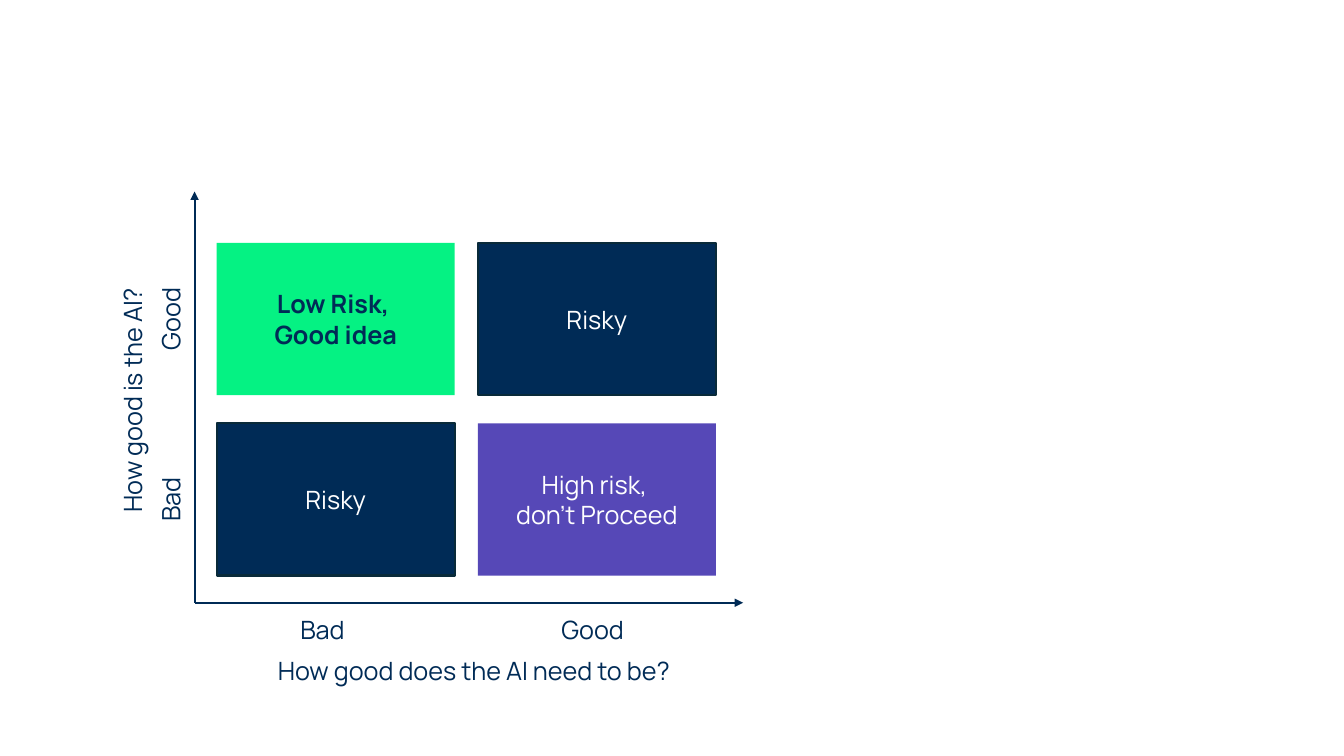
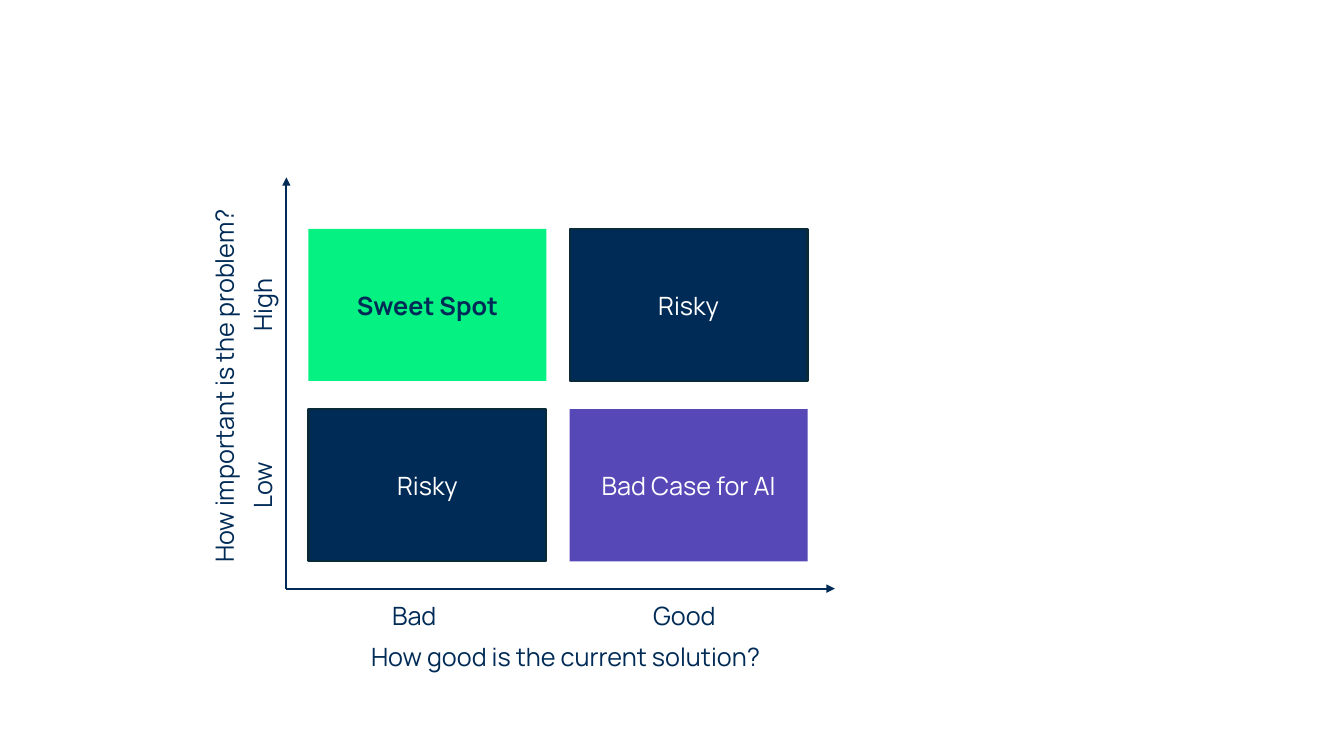
from itertools import product

from lxml.etree import SubElement
from pptx import Presentation
from pptx.dml.color import RGBColor
from pptx.enum.shapes import MSO_CONNECTOR as Connector, MSO_SHAPE as Shape
from pptx.enum.text import MSO_ANCHOR as Anchor, MSO_AUTO_SIZE as AutoSize, PP_ALIGN as Align
from pptx.oxml.ns import qn
from pptx.util import Inches, Pt

FONT, SIZE = "Manrope", 18
NAVY, EDGE, WHITE = "002B56", "092A39", "FFFFFF"
GREEN, PURPLE = "05F283", "5648B7"

MATRICES = [
    {
        "origin": (1.93, 5.98),
        "x_title": "How good does the AI need to be?",
        "y_title": "How good is the AI?",
        "columns": ("Bad", "Good"),
        "rows": ("Good", "Bad"),
        "cells": (("Low Risk, \nGood idea", "Risky"),
                  ("Risky", "High risk, \ndon’t Proceed")),
    },
    {
        "origin": (2.84, 5.84),
        "x_title": "How good is the current solution?",
        "y_title": "How important is the problem?",
        "columns": ("Bad", "Good"),
        "rows": ("High", "Low"),
        "cells": (("Sweet Spot", "Risky"),
                  ("Risky", "Bad Case for AI")),
    },
]

CELL_STYLES = (
    ((GREEN, None, NAVY, True), (NAVY, EDGE, WHITE, False)),
    ((NAVY, EDGE, WHITE, False), (PURPLE, None, WHITE, False)),
)

AXIS_WIDTH, AXIS_HEIGHT = 5.44, 4.08
CELL_WIDTH, CELL_HEIGHT = 2.36, 1.51
GRID_LEFT, GRID_TOP = 0.22, -3.57
COLUMN_STEP, ROW_STEP = 2.59, 1.79
LABEL_WIDTH, LABEL_HEIGHT = 0.91, 0.4
LABEL_INDENT = 0.73


def color(value):
    return RGBColor.from_string(value)


def write(shape, text, text_color=NAVY, bold=None, align=Align.CENTER):
    frame = shape.text_frame
    frame.word_wrap = True
    frame.text = text
    for paragraph in frame.paragraphs:
        paragraph.alignment = align
        for run in paragraph.runs:
            run.font.name = FONT
            run.font.size = Pt(SIZE)
            run.font.bold = bold
            run.font.color.rgb = color(text_color)


def add_axis(slide, start, end):
    axis = slide.shapes.add_connector(Connector.STRAIGHT, *map(Inches, start + end))
    axis.line.color.rgb = color(NAVY)
    axis.line.width = Pt(1.5)
    SubElement(axis.line._get_or_add_ln(), qn("a:tailEnd"), type="triangle")
    SubElement(axis._element.spPr, qn("a:effectLst"))


def add_cell(slide, left, top, text, style):
    fill, edge, text_color, bold = style
    box = (left, top, CELL_WIDTH, CELL_HEIGHT)
    cell = slide.shapes.add_shape(Shape.RECTANGLE, *map(Inches, box))
    cell.shadow.inherit = False
    cell.fill.solid()
    cell.fill.fore_color.rgb = color(fill)
    if edge:
        cell.line.color.rgb = color(edge)
        cell.line.width = Pt(1.5)
    else:
        cell.line.fill.background()
    cell.text_frame.vertical_anchor = Anchor.MIDDLE
    write(cell, text, text_color, bold)


def add_label(slide, center_x, center_y, width, text, rotation=0, align=Align.CENTER):
    box = (center_x - width / 2, center_y - LABEL_HEIGHT / 2, width, LABEL_HEIGHT)
    label = slide.shapes.add_textbox(*map(Inches, box))
    label.rotation = rotation
    write(label, text, align=align)
    label.text_frame.auto_size = AutoSize.SHAPE_TO_FIT_TEXT


def add_matrix(slide, matrix):
    x, y = matrix["origin"]
    lefts = [x + GRID_LEFT + column * COLUMN_STEP for column in range(2)]
    tops = [y + GRID_TOP + row * ROW_STEP for row in range(2)]

    add_axis(slide, (x, y), (x + AXIS_WIDTH, y))
    add_axis(slide, (x, y), (x, y - AXIS_HEIGHT))
    for row, column in product(range(2), repeat=2):
        add_cell(slide, lefts[column], tops[row],
                 matrix["cells"][row][column], CELL_STYLES[row][column])
    for top, text in zip(tops, matrix["rows"]):
        add_label(slide, x - 0.24, top + CELL_HEIGHT / 2, LABEL_WIDTH, text, 270)
    for left, text in zip(lefts, matrix["columns"]):
        add_label(slide, left + LABEL_INDENT + LABEL_WIDTH / 2, y + 0.27,
                  LABEL_WIDTH, text, align=Align.LEFT)
    add_label(slide, x + 2.77, y + 0.67, 5.16, matrix["x_title"])
    add_label(slide, x - 0.62, y - 2.01, 4.96, matrix["y_title"], 270)


def main():
    presentation = Presentation()
    presentation.slide_width = Inches(13.33)
    presentation.slide_height = Inches(7.5)
    blank_layout = presentation.slide_layouts[6]
    for matrix in MATRICES:
        add_matrix(presentation.slides.add_slide(blank_layout), matrix)
    presentation.save("out.pptx")


if __name__ == "__main__":
    main()
